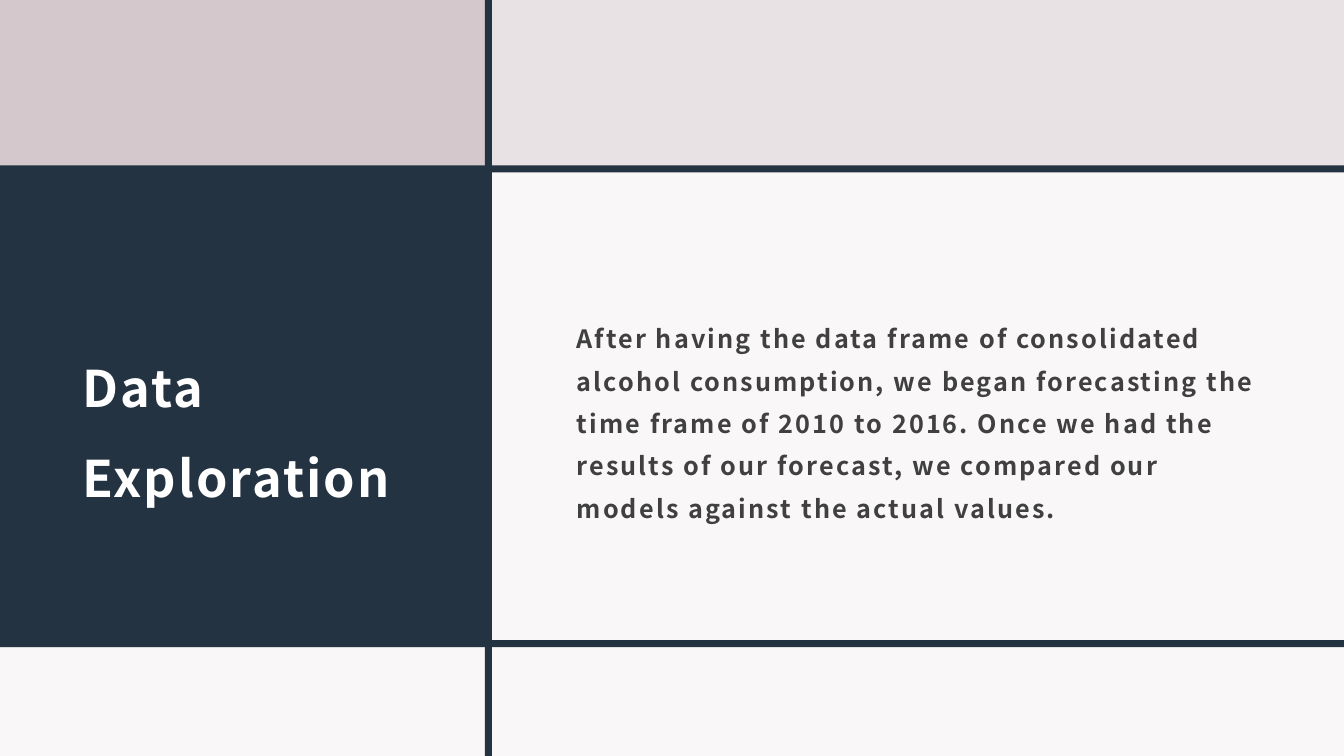
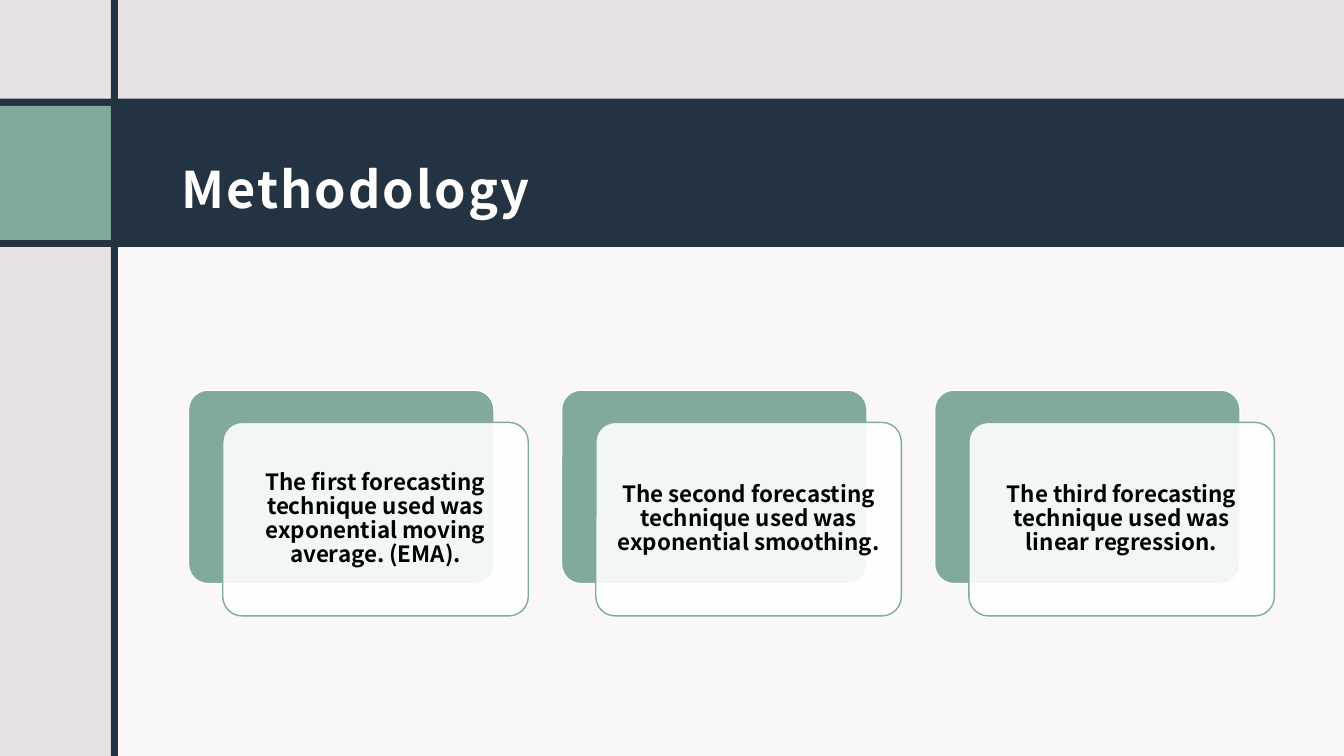
"""Build the data exploration and methodology slides."""
import dataclasses

import lxml.etree
import pptx
import pptx.dml.color
import pptx.enum.shapes
import pptx.enum.text
import pptx.oxml.ns
import pptx.util

Inches = pptx.util.Inches
SHAPES = pptx.enum.shapes.MSO_SHAPE
ALIGN = pptx.enum.text.PP_ALIGN


@dataclasses.dataclass(frozen=True)
class Theme:
    font: str = "Noto Sans CJK JP"
    navy: str = "243341"
    mist: str = "E8E2E4"
    mauve: str = "D4C8CC"
    sage: str = "81AA9D"
    white: str = "FFFFFF"
    gray: str = "404040"
    black: str = "000000"
    title_size: int = 36
    body_size: int = 18
    card_size: int = 16
    tracking: float = 1.5
    veil: int = 75
    card_opacity: int = 90
    rule: float = 0.07


THEME = Theme()
WIDTH, HEIGHT = 13.33, 7.5

EXPLORATION = {
    "title": "Data Exploration",
    "title_box": (0.7, 2.14, 3.73, 3.98),
    "body": "After having the data frame of consolidated alcohol consumption, "
            "we began forecasting the time frame of 2010 to 2016. Once we had the "
            "results of our forecast, we compared our models against the actual values.",
    "body_box": (5.6, 2.14, 7.03, 3.98),
    "bands": [
        ((0, 1.64, 4.84, 4.78), THEME.navy, 100),
        ((0, 0, 4.84, 1.66), THEME.mauve, 100),
        ((4.84, 1.66, 8.49, 4.76), THEME.white, THEME.veil),
        ((0, 1.64, WIDTH, THEME.rule), THEME.navy, 100),
        ((0, 6.41, WIDTH, 1.09), THEME.white, THEME.veil),
        ((0, 6.35, WIDTH, THEME.rule), THEME.navy, 100),
        ((4.81, 0, THEME.rule, HEIGHT), THEME.navy, 100),
    ],
}
METHODOLOGY = {
    "title": "Methodology",
    "title_box": (1.68, 1.14, 10.95, 1.13),
    "bands": [
        ((1.14, 2.33, 12.19, 5.17), THEME.white, THEME.veil),
        ((0, 0.98, WIDTH, 1.47), THEME.navy, 100),
        ((0, 1.05, 1.1, 1.33), THEME.sage, 100),
        ((1.1, 0, THEME.rule, HEIGHT), THEME.navy, 100),
    ],
    "cards": [
        "The first forecasting technique used was exponential moving average. (EMA).",
        "The second forecasting technique used was exponential smoothing.",
        "The third forecasting technique used was linear regression.",
    ],
}
CARD_LEFT, CARD_TOP, CARD_PITCH = 1.87, 3.87, 3.7
CARD_WIDTH, CARD_HEIGHT = 3.03, 1.92
CARD_SHIFT_X, CARD_SHIFT_Y = 0.34, 0.32
CARD_CORNER = 0.1


def rgb(color):
    return pptx.dml.color.RGBColor.from_string(color)


def apply(target, values):
    for name, value in values.items():
        setattr(target, name, value)


def add_panel(slide, box, color, opacity=100, kind=SHAPES.RECTANGLE, outline=None):
    panel = slide.shapes.add_shape(kind, *map(Inches, box))
    panel.shadow.inherit = False
    panel.fill.solid()
    panel.fill.fore_color.rgb = rgb(color)
    if opacity < 100:
        tint = panel.fill._xPr.find(".//" + pptx.oxml.ns.qn("a:srgbClr"))
        lxml.etree.SubElement(tint, pptx.oxml.ns.qn("a:alpha"), val=str(opacity * 1000))
    if outline:
        panel.line.color.rgb = rgb(outline)
        panel.line.width = pptx.util.Pt(1)
    else:
        panel.line.fill.background()
    return panel


def write(shape, text, size, color, spacing, align=ALIGN.LEFT, before=0, tracking=0, inset=0.12):
    frame = shape.text_frame
    frame.text = text
    apply(frame, {
        "word_wrap": True,
        "auto_size": pptx.enum.text.MSO_AUTO_SIZE.NONE,
        "vertical_anchor": pptx.enum.text.MSO_ANCHOR.MIDDLE,
        "margin_left": Inches(inset),
        "margin_right": Inches(inset),
        "margin_top": Inches(inset),
        "margin_bottom": Inches(min(inset, 0.1)),
    })
    paragraph = frame.paragraphs[0]
    apply(paragraph, {
        "alignment": align,
        "line_spacing": spacing,
        "space_before": pptx.util.Pt(before),
    })
    run = paragraph.runs[0]
    apply(run.font, {"name": THEME.font, "size": pptx.util.Pt(size), "bold": True})
    run.font.color.rgb = rgb(color)
    if tracking:
        run.font._element.set("spc", str(int(tracking * 100)))
    return paragraph


def place(placeholder, box):
    left, top, width, height = map(Inches, box)
    apply(placeholder, {"left": left, "top": top, "width": width, "height": height})
    placeholder.element.getparent().append(placeholder.element)


def add_slide(deck, layout, content):
    slide = deck.slides.add_slide(deck.slide_layouts.get_by_name(layout))
    slide.background.fill.solid()
    slide.background.fill.fore_color.rgb = rgb(THEME.mist)
    for box, color, opacity in content["bands"]:
        add_panel(slide, box, color, opacity)
    title = slide.shapes.title
    place(title, content["title_box"])
    write(title, content["title"], THEME.title_size, THEME.white, 1.5, tracking=THEME.tracking)
    return slide


def add_exploration(deck):
    slide = add_slide(deck, "Title and Content", EXPLORATION)
    body = slide.placeholders[1]
    place(body, EXPLORATION["body_box"])
    paragraph = write(body, EXPLORATION["body"], THEME.body_size, THEME.gray, 1.4,
                      before=9.3, tracking=THEME.tracking)
    properties = paragraph._p.get_or_add_pPr()
    for name in ("marL", "indent"):
        properties.set(name, "0")
    lxml.etree.SubElement(properties, pptx.oxml.ns.qn("a:buNone"))


def add_methodology(deck):
    slide = add_slide(deck, "Title Only", METHODOLOGY)
    for index, technique in enumerate(METHODOLOGY["cards"]):
        left = CARD_LEFT + index * CARD_PITCH
        back_box = (left, CARD_TOP, CARD_WIDTH, CARD_HEIGHT)
        front_box = (left + CARD_SHIFT_X, CARD_TOP + CARD_SHIFT_Y, CARD_WIDTH, CARD_HEIGHT)
        back = add_panel(slide, back_box, THEME.sage,
                         kind=SHAPES.ROUNDED_RECTANGLE, outline=THEME.white)
        front = add_panel(slide, front_box, THEME.white, THEME.card_opacity,
                          SHAPES.ROUNDED_RECTANGLE, THEME.sage)
        for card in (back, front):
            card.adjustments[0] = CARD_CORNER
        write(front, technique, THEME.card_size, THEME.black, 0.9, ALIGN.CENTER, inset=0.07)


def main():
    deck = pptx.Presentation()
    apply(deck, {"slide_width": Inches(WIDTH), "slide_height": Inches(HEIGHT)})
    add_exploration(deck)
    add_methodology(deck)
    deck.save("out.pptx")


if __name__ == "__main__":
    main()
